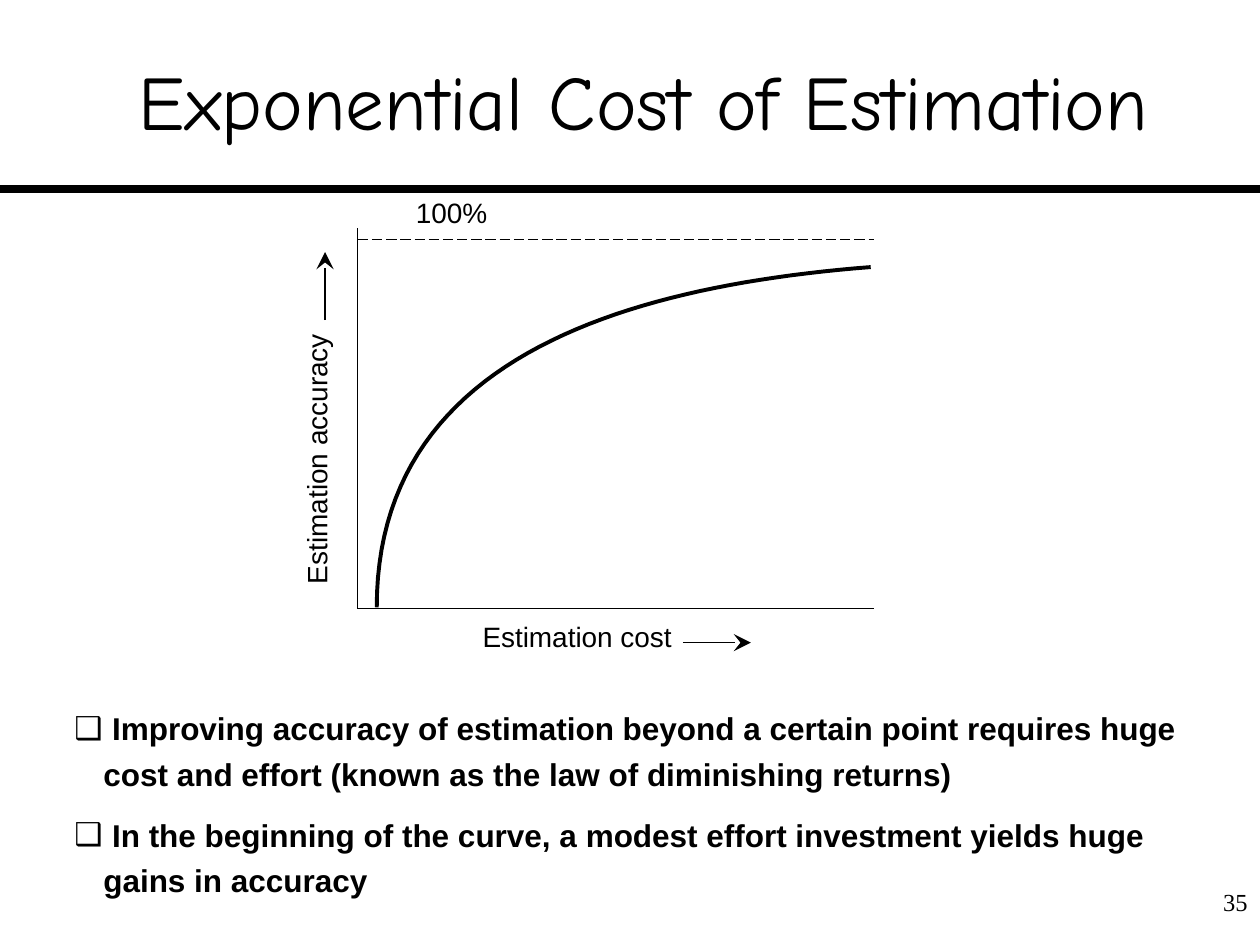
"""Build the slide on the exponential cost of estimation."""
from dataclasses import dataclass
from typing import Optional

from lxml import etree
from pptx import Presentation
from pptx import util as u
from pptx.dml.color import RGBColor
from pptx.enum import dml, shapes, text
from pptx.oxml import ns

COLORS = {"ink": "000000"}
LEFT, RIGHT, BASE = 2.84, 6.94, 4.83
CURVE = ((2.99, 4.82), (2.99, 2.88), (4.88, 2.28), (6.91, 2.12))
CURVE_STEPS = 48
BULLET_INDENT = 0.23


@dataclass
class Stroke:
    start: tuple[float, float]
    end: tuple[float, float]
    width: float = 0.75
    arrow: bool = False
    dash: Optional[int] = None


@dataclass
class Label:
    words: str
    left: float
    top: float
    width: float
    height: float = 0.27
    rotation: float = 0


RULE = Stroke((0, 1.5), (10, 1.5), width=4.5)
STROKES = [
    Stroke((LEFT, BASE), (RIGHT, BASE)),
    Stroke((LEFT, BASE), (LEFT, 1.81)),
    Stroke((LEFT, 1.9), (RIGHT, 1.9), dash=dml.MSO_LINE.LONG_DASH),
    Stroke((5.42, 5.1), (5.96, 5.1), arrow=True),
    Stroke((2.58, 2.54), (2.58, 2), arrow=True),
]
LABELS = [
    Label("Estimation cost", 3.83, 4.92, 1.5),
    Label("Estimation accuracy", 1.52, 3.51, 1.98, rotation=270),
    Label("100%", 3.3, 1.55, 0.57),
]
POINTS = [
    " Improving accuracy of estimation beyond a certain point requires huge "
    "cost and effort (known as the law of diminishing returns)",
    " In the beginning of the curve, a modest effort investment yields huge "
    "gains in accuracy",
]


def add_child(parent, tag: str, **attributes: str):
    """Append a DrawingML element."""
    return etree.SubElement(parent, ns.qn(tag), attributes)


def place(box, left: float, top: float, width: float, height: float) -> None:
    """Position a shape, in inches."""
    box.left, box.top = u.Inches(left), u.Inches(top)
    box.width, box.height = u.Inches(width), u.Inches(height)


def set_frame(box, side: float = 0, edge: float = 0, wrap: bool = True,
              anchor=text.MSO_ANCHOR.TOP):
    """Set insets, wrapping and anchoring, and return the text frame."""
    frame = box.text_frame
    frame.margin_left = frame.margin_right = u.Inches(side)
    frame.margin_top = frame.margin_bottom = u.Inches(edge)
    frame.auto_size = text.MSO_AUTO_SIZE.NONE
    frame.word_wrap = wrap
    frame.vertical_anchor = anchor
    return frame


def add_span(para, words: str, size: float, font: str = "Arial", bold: bool = False) -> None:
    """Add one formatted run."""
    span = para.add_run()
    span.text = words
    span.font.size = u.Pt(size)
    span.font.name = font
    span.font.bold = bold
    span.font.color.rgb = RGBColor.from_string(COLORS["ink"])


def set_line(line, width: float) -> None:
    """Give a line its colour and width."""
    line.color.rgb = RGBColor.from_string(COLORS["ink"])
    line.width = u.Pt(width)


def draw_stroke(tree, stroke: Stroke) -> None:
    """Draw a straight line, dashed or with an arrowhead if asked."""
    ends = [u.Inches(value) for value in stroke.start + stroke.end]
    connector = tree.add_connector(shapes.MSO_CONNECTOR.STRAIGHT, *ends)
    set_line(connector.line, stroke.width)
    if stroke.dash is not None:
        connector.line.dash_style = stroke.dash
    properties = connector._element.spPr
    if stroke.arrow:
        add_child(properties.find(ns.qn("a:ln")), "a:tailEnd", type="stealth", w="lg", len="lg")
    add_child(properties, "a:effectLst")


def draw_label(tree, label: Label) -> None:
    """Draw a chart label."""
    box = tree.add_textbox(0, 0, 0, 0)
    place(box, label.left, label.top, label.width, label.height)
    box.rotation = label.rotation
    add_span(set_frame(box, wrap=False).paragraphs[0], label.words, 16)


def curve_point(t: float) -> tuple[u.Length, u.Length]:
    """Return the point of the cubic curve at t."""
    weights = ((1 - t) ** 3, 3 * t * (1 - t) ** 2, 3 * t ** 2 * (1 - t), t ** 3)
    x, y = (sum(w * p[axis] for w, p in zip(weights, CURVE)) for axis in (0, 1))
    return u.Inches(x), u.Inches(y)


def draw_curve(tree) -> None:
    """Draw the accuracy curve."""
    start, *rest = [curve_point(step / CURVE_STEPS) for step in range(CURVE_STEPS + 1)]
    builder = tree.build_freeform(*start)
    builder.add_line_segments(rest, close=False)
    curve = builder.convert_to_shape()
    curve.fill.background()
    curve.shadow.inherit = False
    set_line(curve.line, 2.25)


def fill_title(box) -> None:
    """Place and write the title."""
    place(box, 0.42, 0.17, 9.38, 1.25)
    para = set_frame(box, edge=0.05, anchor=text.MSO_ANCHOR.MIDDLE).paragraphs[0]
    para.alignment = text.PP_ALIGN.CENTER
    add_span(para, "Exponential Cost of Estimation", 44, "Comic Neue")


def fill_body(box) -> None:
    """Place and write the bulleted list."""
    place(box, 0.59, 5.57, 8.79, 1.56)
    frame = set_frame(box)
    for index, words in enumerate(POINTS):
        para = frame.add_paragraph() if index else frame.paragraphs[0]
        para.line_spacing = 1.2
        para.space_before, para.space_after = u.Pt(0), u.Pt(9)
        properties = para._p.get_or_add_pPr()
        properties.set("marL", str(u.Inches(BULLET_INDENT)))
        properties.set("indent", str(-u.Inches(BULLET_INDENT)))
        add_child(add_child(properties, "a:buClr"), "a:srgbClr", val=COLORS["ink"])
        add_child(properties, "a:buChar", char="❑")
        add_span(para, words, 18, bold=True)


def draw_page_number(tree, number: str) -> None:
    """Write the page number in the corner."""
    box = tree.add_textbox(0, 0, 0, 0)
    place(box, 9.49, 6.99, 0.51, 0.39)
    para = set_frame(box, 0.1, 0.05).paragraphs[0]
    para.alignment = text.PP_ALIGN.RIGHT
    add_span(para, number, 14, "Times New Roman")


def main() -> None:
    """Build and save the deck."""
    deck = Presentation()
    deck.slide_width, deck.slide_height = u.Inches(10), u.Inches(7.5)
    page = deck.slides.add_slide(deck.slide_layouts[1])
    draw_stroke(page.shapes, RULE)
    fill_title(page.shapes.title)
    chart = page.shapes.add_group_shape().shapes
    for stroke in STROKES:
        draw_stroke(chart, stroke)
    draw_curve(chart)
    for label in LABELS:
        draw_label(chart, label)
    fill_body(page.placeholders[1])
    draw_page_number(page.shapes, "35")
    deck.save("out.pptx")


if __name__ == "__main__":
    main()
